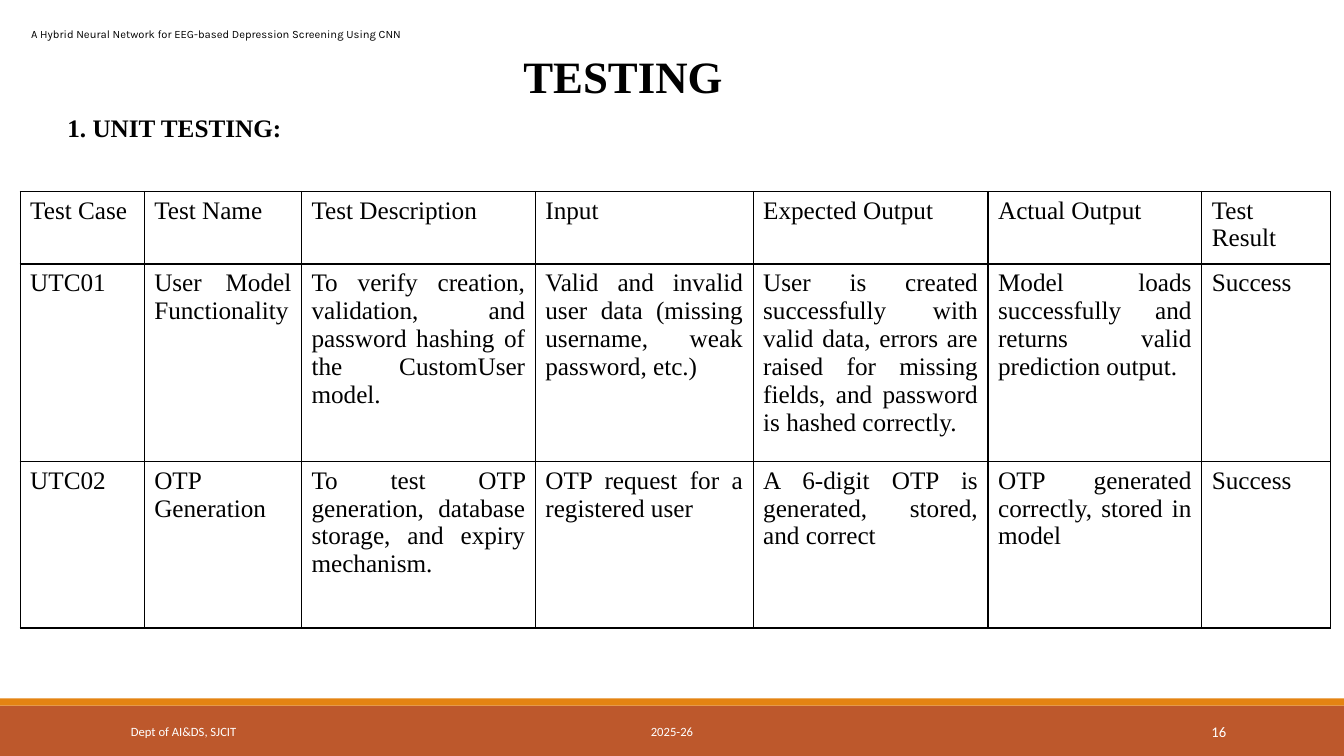
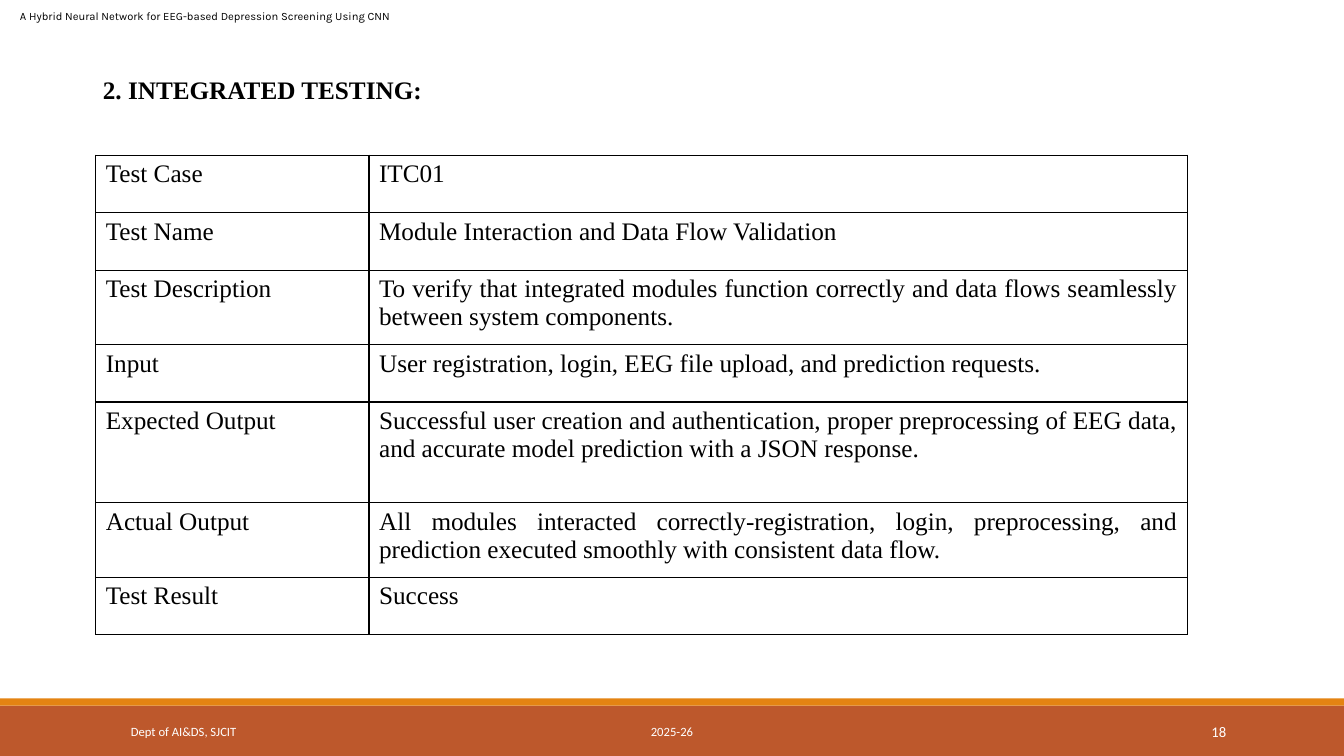
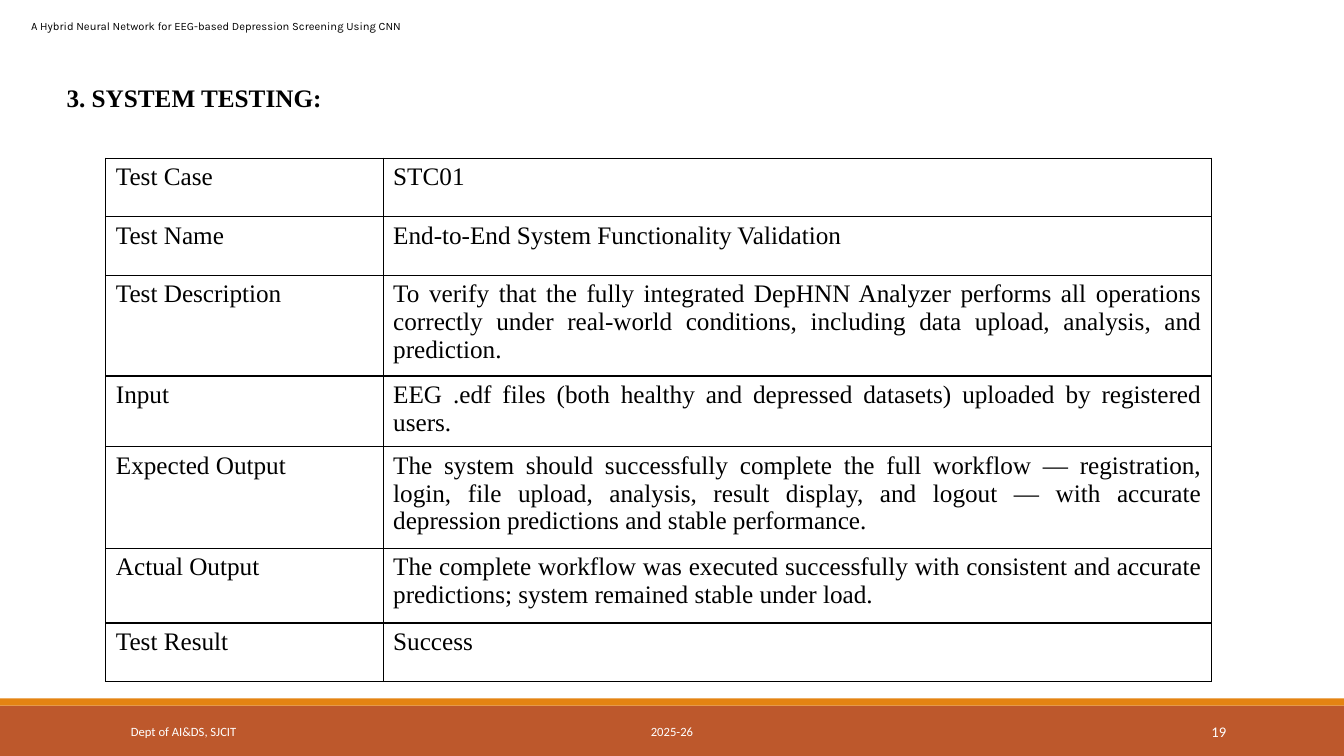
from lxml.etree import SubElement
from pptx import Presentation
from pptx.dml.color import RGBColor
from pptx.enum.shapes import MSO_SHAPE
from pptx.enum.text import MSO_ANCHOR, MSO_AUTO_SIZE, PP_ALIGN
from pptx.oxml.ns import qn
from pptx.util import Inches, Pt

BLACK = RGBColor(0x00, 0x00, 0x00)
WHITE = RGBColor(0xFF, 0xFF, 0xFF)
RUST = RGBColor(0xBD, 0x58, 0x2C)
AMBER = RGBColor(0xE4, 0x83, 0x12)

SERIF = "Times New Roman"
SANS = "Calibri"
TOPIC = "A Hybrid Neural Network for EEG-based Depression Screening Using CNN"
WIDTH = 13.33
FOOT_TOP, FOOT_HIGH = 7.06, 0.4

FIELDS = ["Test Case", "Test Name", "Test Description", "Input",
          "Expected Output", "Actual Output", "Test Result"]

UNIT = [
    ["UTC01", "User Model Functionality",
     "To verify creation, validation, and password hashing of the CustomUser model.",
     "Valid and invalid user data (missing username, weak password, etc.)",
     "User is created successfully with valid data, errors are raised for "
     "missing fields, and password is hashed correctly.",
     "Model loads successfully and returns valid prediction output.",
     "Success"],
    ["UTC02", "OTP Generation",
     "To test OTP generation, database storage, and expiry mechanism.",
     "OTP request for a registered user",
     "A 6-digit OTP is generated, stored, and correct",
     "OTP generated correctly, stored in model",
     "Success"],
]

JOINT = [
    "ITC01",
    "Module Interaction and Data Flow Validation",
    "To verify that integrated modules function correctly and data flows "
    "seamlessly between system components.",
    "User registration, login, EEG file upload, and prediction requests.",
    "Successful user creation and authentication, proper preprocessing of EEG "
    "data, and accurate model prediction with a JSON response.",
    "All modules interacted correctly-registration, login, preprocessing, and "
    "prediction executed smoothly with consistent data flow.",
    "Success",
]

SYSTEM = [
    "STC01",
    "End-to-End System Functionality Validation",
    "To verify that the fully integrated DepHNN Analyzer performs all operations "
    "correctly under real-world conditions, including data upload, analysis, and "
    "prediction.",
    "EEG .edf files (both healthy and depressed datasets) uploaded by registered users.",
    "The system should successfully complete the full workflow — registration, "
    "login, file upload, analysis, result display, and logout — with accurate "
    "depression predictions and stable performance.",
    "The complete workflow was executed successfully with consistent and accurate "
    "predictions; system remained stable under load.",
    "Success",
]


# Text
def style(frame, text, size, font, color=BLACK, bold=False,
          align=PP_ALIGN.LEFT, space=1.0):
    frame.text = text
    para = frame.paragraphs[0]
    para.alignment = align
    para.line_spacing = space
    face = para.runs[0].font
    face.size, face.name, face.bold = Pt(size), font, bold
    face.color.rgb = color


def add_text(slide, box, text, size, font, anchor=MSO_ANCHOR.TOP, **look):
    shape = slide.shapes.add_textbox(*map(Inches, box))
    frame = shape.text_frame
    frame.word_wrap = True
    frame.vertical_anchor = anchor
    style(frame, text, size, font, **look)
    return shape


def set_title(slide, box, text, size=18, **look):
    title = slide.shapes.title
    title.left, title.top, title.width, title.height = map(Inches, box)
    frame = title.text_frame
    frame.word_wrap = True
    frame.auto_size = MSO_AUTO_SIZE.NONE
    frame.vertical_anchor = MSO_ANCHOR.TOP
    style(frame, text, size, SERIF, bold=True, **look)


# Shared bands and footer
def add_foot(slide, left, width, text, size=9, align=PP_ALIGN.LEFT):
    return add_text(slide, (left, FOOT_TOP, width, FOOT_HIGH), text, size, SANS,
                    anchor=MSO_ANCHOR.MIDDLE, color=WHITE, align=align)


def add_band(slide, top, height, color):
    band = slide.shapes.add_shape(MSO_SHAPE.RECTANGLE, 0, Inches(top),
                                  Inches(WIDTH), Inches(height))
    band.shadow.inherit = False
    band.fill.solid()
    band.fill.fore_color.rgb = color
    band.line.fill.background()
    return band


def dress(layout, slide):
    """Draw the shared parts on a slide, then move them to its layout."""
    parts = [
        add_band(slide, 7, 0.5, RUST),
        add_band(slide, 6.93, 0.07, AMBER),
        add_foot(slide, 1.2, 2.7, "Dept of AI&DS, SJCIT"),
        add_foot(slide, 4.03, 5.27, "2025-26", align=PP_ALIGN.CENTER),
    ]
    for part in parts:
        layout.shapes.element.append(part.element)


def add_page(slide, number, left, top):
    """Add the running header and the page number."""
    add_text(slide, (left, top, 10 - left, 0.24), TOPIC, 8, "Karla")
    add_foot(slide, 10.83, 1.43, str(number), 10.5, PP_ALIGN.RIGHT)


# Tables
def add_edges(cell):
    props = cell._tc.get_or_add_tcPr()
    for spot, side in enumerate(("a:lnL", "a:lnR", "a:lnT", "a:lnB")):
        line = props.makeelement(qn(side), {"w": str(Pt(1))})
        fill = SubElement(line, qn("a:solidFill"))
        SubElement(fill, qn("a:srgbClr"), val=str(BLACK))
        props.insert(spot, line)


def add_grid(slide, left, top, cols, rows, data):
    shape = slide.shapes.add_table(len(rows), len(cols), Inches(left), Inches(top),
                                   Inches(sum(cols)), Inches(sum(rows)))
    table = shape.table
    table.first_row = table.horz_banding = False
    for col, width in zip(table.columns, cols):
        col.width = Inches(width)
    for row, height, texts in zip(table.rows, rows, data):
        row.height = Inches(height)
        for cell, text in zip(row.cells, texts):
            style(cell.text_frame, text, 18, SERIF, align=PP_ALIGN.JUSTIFY)
            cell.fill.background()
            add_edges(cell)


def main():
    deck = Presentation()
    deck.slide_width, deck.slide_height = Inches(WIDTH), Inches(7.5)
    layout = deck.slide_layouts[5]
    unit, joint, system = [deck.slides.add_slide(layout) for _ in range(3)]
    dress(layout, unit)

    # Unit testing
    set_title(unit, (0.65, 0.43, 11.06, 0.64), "TESTING", 32, align=PP_ALIGN.CENTER)
    add_page(unit, 16, 0.21, 0.22)
    add_text(unit, (0.57, 0.92, 6.67, 0.5), "1. UNIT TESTING:", 18, SERIF,
             bold=True, align=PP_ALIGN.JUSTIFY, space=1.5)
    add_grid(unit, 0.2, 1.9, [1.23, 1.56, 2.32, 2.16, 2.33, 2.12, 1.28],
             [0.72, 1.96, 1.65], [FIELDS] + UNIT)

    # Integrated testing
    set_title(joint, (0.92, 0.54, 9.08, 0.5), "2. INTEGRATED TESTING:",
              align=PP_ALIGN.JUSTIFY, space=1.5)
    add_page(joint, 18, 0.1, 0.04)
    add_grid(joint, 0.95, 1.54, [2.71, 8.12],
             [0.57, 0.57, 0.74, 0.57, 1, 0.74, 0.57], zip(FIELDS, JOINT))

    # System testing
    set_title(system, (0.56, 0.77, 9.44, 0.4), "3. SYSTEM TESTING:")
    add_page(system, 19, 0.21, 0.14)
    add_grid(system, 1.05, 1.57, [2.75, 8.22],
             [0.58, 0.58, 1, 0.7, 1.01, 0.74, 0.58], zip(FIELDS, SYSTEM))

    deck.save("out.pptx")


if __name__ == "__main__":
    main()
